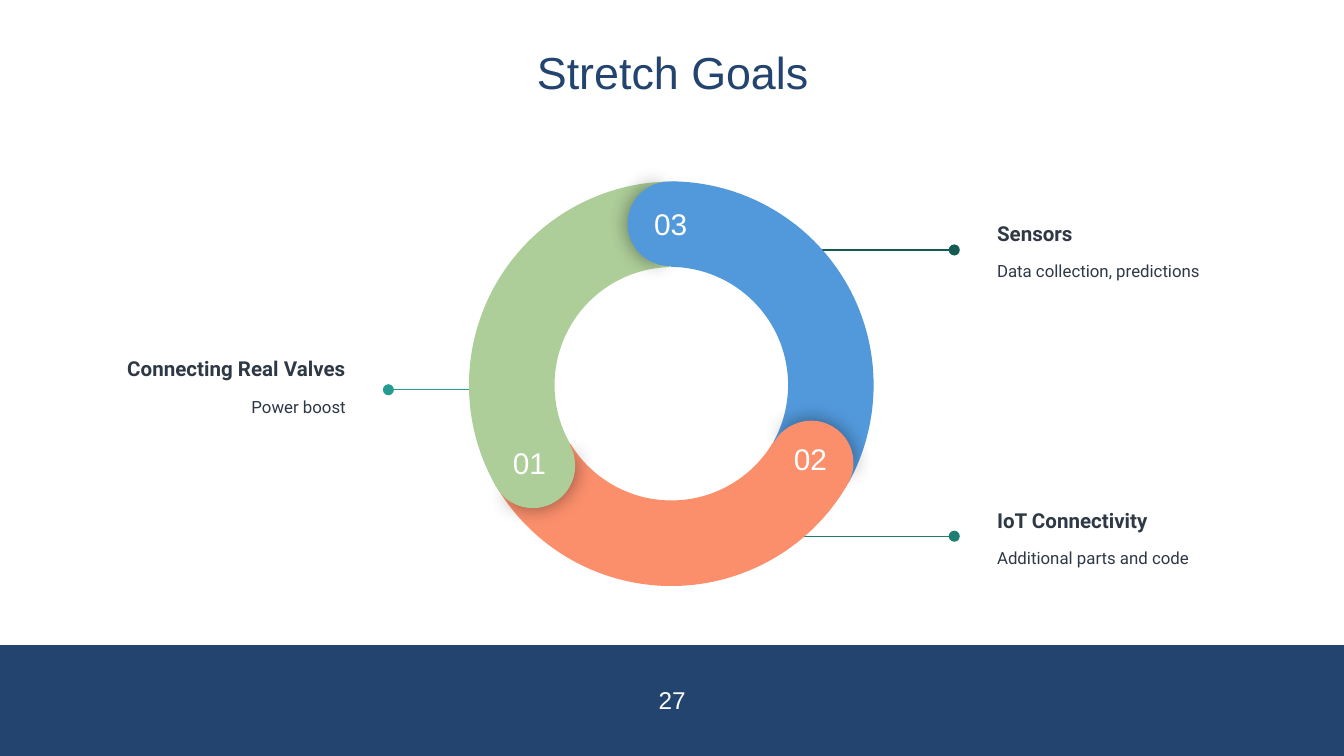
from dataclasses import dataclass

import pptx
import pptx.dml.color
import pptx.enum.shapes
import pptx.enum.text
import pptx.oxml
import pptx.oxml.ns
import pptx.util
from pptx.dml.color import RGBColor
from pptx.enum.shapes import MSO_SHAPE
from pptx.enum.text import MSO_ANCHOR, PP_ALIGN
from pptx.util import Inches

NAVY = RGBColor(0x22, 0x44, 0x6F)
WHITE = RGBColor(0xFF, 0xFF, 0xFF)
INK = RGBColor(0x2F, 0x39, 0x46)
BLUE = RGBColor(0x52, 0x99, 0xDC)
CORAL = RGBColor(0xFB, 0x8F, 0x6C)
GREEN = RGBColor(0xAD, 0xCE, 0x99)
TEAL_LIGHT = RGBColor(0x24, 0x9C, 0x90)
TEAL = RGBColor(0x1D, 0x7E, 0x74)
TEAL_DARK = RGBColor(0x15, 0x5B, 0x54)

RING_SIZE = 3.03
CAP_SIZE = 0.63
ARC_ADJUSTMENTS = (126.23, 197.2, 0.21)
SHADOWED_CAP_ADJUSTMENTS = (61.9, 149.96)
CAP_ADJUSTMENTS = (40.28, 171.84)


@dataclass(frozen=True)
class Callout:
    heading: str
    detail: str
    left: float
    top: float
    align: PP_ALIGN
    line_start: float
    line_end: float
    line_y: float
    color: RGBColor


@dataclass(frozen=True)
class Segment:
    number: str
    color: RGBColor
    arc_left: float
    arc_top: float
    arc_rotation: float
    cap_left: float
    cap_top: float
    cap_rotation: float
    number_left: float
    number_top: float


CALLOUTS = [
    Callout("Connecting Real Valves", "Power boost", 0.35, 2.17,
            PP_ALIGN.RIGHT, 3.58, 2.89, 2.9, TEAL_LIGHT),
    Callout("Sensors", "Data collection, predictions", 7.32, 1.16,
            PP_ALIGN.LEFT, 5.7, 7.1, 1.86, TEAL_DARK),
    Callout("IoT Connectivity", "Additional parts and code", 7.32, 3.3,
            PP_ALIGN.LEFT, 5.7, 7.1, 3.99, TEAL),
]
SEGMENTS = [
    Segment("03", BLUE, 3.47, 1.35, 60, 4.67, 1.35, 0, 4.71, 1.43),
    Segment("02", CORAL, 3.48, 1.33, 180, 5.72, 3.13, 120, 5.75, 3.18),
    Segment("01", GREEN, 3.49, 1.35, 300, 3.65, 3.15, 240, 3.66, 3.21),
]


def add_text(slide, left: float, top: float, width: float, height: float,
             text: str, size: float, color: RGBColor, font: str = "Arial",
             align: PP_ALIGN = PP_ALIGN.CENTER,
             anchor: MSO_ANCHOR = MSO_ANCHOR.MIDDLE, inset: float = 0):
    """Add a wrapped text box and return its text frame."""
    box = slide.shapes.add_textbox(
        Inches(left), Inches(top), Inches(width), Inches(height))
    frame = box.text_frame
    frame.word_wrap = True
    frame.vertical_anchor = anchor
    frame.margin_left = frame.margin_right = Inches(inset)
    frame.margin_top = frame.margin_bottom = Inches(inset)
    frame.text = text
    for paragraph in frame.paragraphs:
        paragraph.alignment = align
        paragraph.font.name = font
        paragraph.font.size = pptx.util.Pt(size)
        paragraph.font.color.rgb = color
    return frame


def add_filled_shape(slide, kind: MSO_SHAPE, left: float, top: float,
                     width: float, height: float, color: RGBColor,
                     rotation: float = 0, adjustments: tuple = ()):
    shape = slide.shapes.add_shape(
        kind, Inches(left), Inches(top), Inches(width), Inches(height))
    shape.shadow.inherit = False
    shape.fill.solid()
    shape.fill.fore_color.rgb = color
    shape.line.fill.background()
    shape.rotation = rotation
    for index, value in enumerate(adjustments):
        shape.adjustments[index] = value
    return shape


def add_glow_shadow(shape) -> None:
    """Give the shape a soft black shadow with no offset."""
    effects = shape._element.spPr.find(pptx.oxml.ns.qn("a:effectLst"))
    effects.append(pptx.oxml.parse_xml(
        f'<a:outerShdw {pptx.oxml.ns.nsdecls("a")} blurRad="{pptx.util.Pt(11.2)}"'
        ' dist="0" dir="0" algn="ctr" rotWithShape="0">'
        '<a:srgbClr val="000000"><a:alpha val="43000"/></a:srgbClr>'
        '</a:outerShdw>'))


def add_callout(slide, callout: Callout) -> None:
    frame = add_text(slide, callout.left, callout.top, 2.32, 1.41,
                     f"{callout.heading}\n{callout.detail}", 11, INK,
                     "Roboto", callout.align, inset=0.1)
    heading, detail = frame.paragraphs
    heading.font.bold = True
    detail.font.size = pptx.util.Pt(9)
    detail.space_before = pptx.util.Pt(8.2)

    connector = slide.shapes.add_connector(
        pptx.enum.shapes.MSO_CONNECTOR.STRAIGHT,
        Inches(callout.line_start), Inches(callout.line_y),
        Inches(callout.line_end), Inches(callout.line_y))
    connector.line.color.rgb = callout.color
    connector.line.width = pptx.util.Pt(0.75)
    namespace = pptx.oxml.ns.nsdecls("a")
    connector.line._get_or_add_ln().append(
        pptx.oxml.parse_xml(f'<a:tailEnd {namespace} type="oval"/>'))
    connector._element.spPr.append(
        pptx.oxml.parse_xml(f"<a:effectLst {namespace}/>"))


def add_cap(slide, segment: Segment) -> None:
    """Round off a segment: a shadowed front sector, then a plain one."""
    position = (segment.cap_left, segment.cap_top, CAP_SIZE, CAP_SIZE)
    front = add_filled_shape(slide, MSO_SHAPE.PIE, *position, segment.color,
                             segment.cap_rotation + 0.65,
                             SHADOWED_CAP_ADJUSTMENTS)
    add_glow_shadow(front)
    add_filled_shape(slide, MSO_SHAPE.PIE, *position, segment.color,
                     (segment.cap_rotation + 180) % 360, CAP_ADJUSTMENTS)


def add_ring(slide) -> None:
    for segment in SEGMENTS:
        add_filled_shape(slide, MSO_SHAPE.BLOCK_ARC, segment.arc_left,
                         segment.arc_top, RING_SIZE, RING_SIZE, segment.color,
                         segment.arc_rotation, ARC_ADJUSTMENTS)
    for segment in SEGMENTS:
        add_cap(slide, segment)
    for segment in SEGMENTS:
        add_text(slide, segment.number_left, segment.number_top, 0.56, 0.29,
                 segment.number, 16, WHITE, anchor=MSO_ANCHOR.TOP, inset=0.1)


def main() -> None:
    presentation = pptx.Presentation()
    presentation.slide_width = Inches(10)
    presentation.slide_height = Inches(10 * 9 / 16)
    slide = presentation.slides.add_slide(presentation.slide_layouts[6])

    add_filled_shape(slide, MSO_SHAPE.RECTANGLE, 0, 4.8, 10, 0.83, NAVY)
    title = add_text(slide, 0.94, 0, 8.13, 1.11, "Stretch Goals", 24, NAVY)
    title.paragraphs[0].line_spacing = 0.9
    add_text(slide, 4.29, 4.93, 1.42, 0.56, "27", 13, WHITE)
    for callout in CALLOUTS:
        add_callout(slide, callout)
    add_ring(slide)

    presentation.save("out.pptx")


if __name__ == "__main__":
    main()
